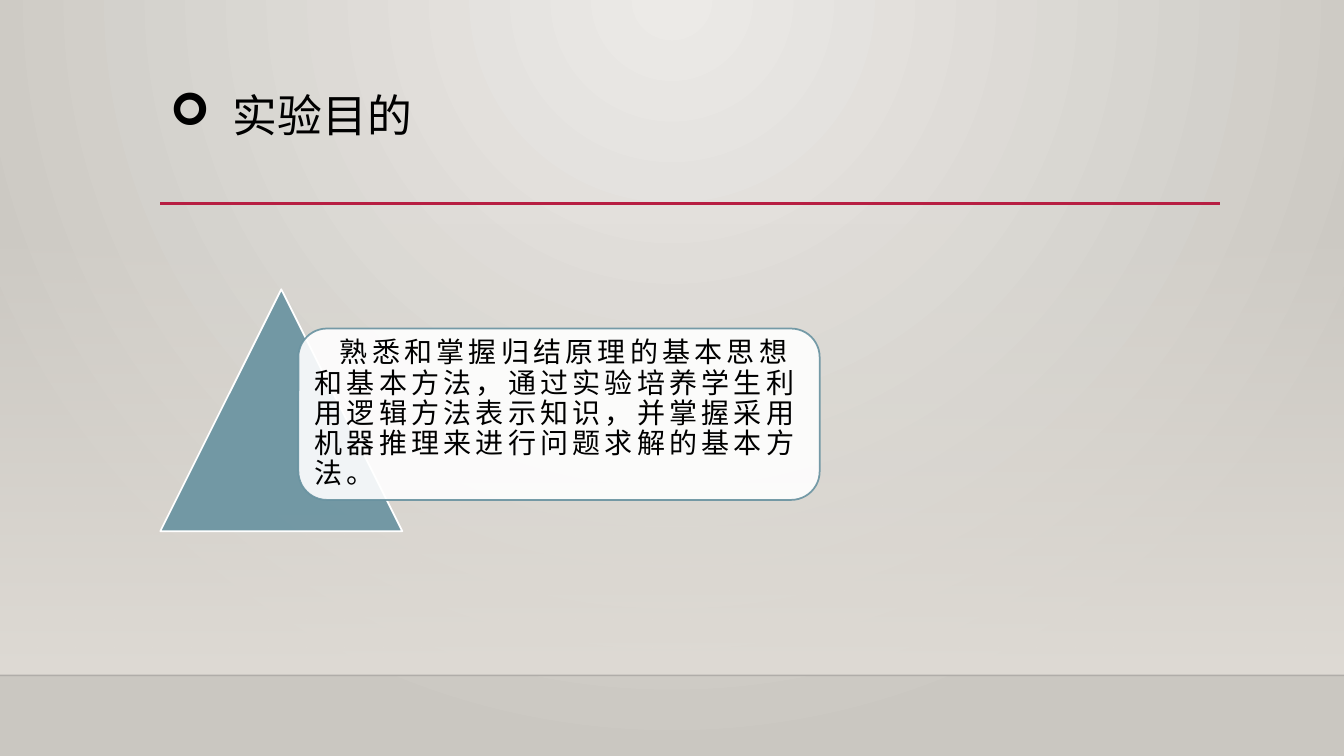
from pptx import Presentation
from pptx.dml.color import RGBColor
from pptx.enum.shapes import MSO_CONNECTOR, MSO_SHAPE
from pptx.enum.text import MSO_ANCHOR, PP_ALIGN
from pptx.oxml import parse_xml
from pptx.oxml.ns import nsdecls, qn
from pptx.util import Inches, Pt
from lxml.etree import SubElement

BLACK, WHITE, TEAL, RED = "000000", "FFFFFF", "6892A0", "B71E42"
PURPOSE = ("熟悉和掌握归结原理的基本思想和基本方法，通过实验培养学生利用逻辑方法表示知识，"
           "并掌握采用机器推理来进行问题求解的基本方法。")


def paint(fill, color):
    """Set a solid fill from a hex string."""
    fill.solid()
    fill.fore_color.rgb = RGBColor.from_string(color)


def set_alpha(solid, percent):
    """Set the opacity of a solidFill element."""
    SubElement(solid[0], qn("a:alpha")).set("val", str(percent * 1000))


def set_gradient(solid, stops, direction):
    """Replace a solidFill element with a gradient of (position, colour, opacity) stops."""
    gs = "".join(
        f'<a:gs pos="{pos * 1000}"><a:srgbClr val="{color}">'
        f'<a:alpha val="{alpha * 1000}"/></a:srgbClr></a:gs>'
        for pos, color, alpha in stops)
    grad = parse_xml(f'<a:gradFill {nsdecls("a")} rotWithShape="1">'
                     f'<a:gsLst>{gs}</a:gsLst>{direction}</a:gradFill>')
    solid.getparent().replace(solid, grad)


def add_background(s):
    """Fill the slide with a radial gradient centred on its top edge."""
    paint(s.background.fill, WHITE)
    set_gradient(s.element.find(".//" + qn("a:solidFill")),
                 [(0, "ECEAE7", 100), (100, "CAC7C1", 100)],
                 '<a:path path="circle"><a:fillToRect l="43000" t="0" '
                 'r="43000" b="100000"/></a:path>')


def add_shape(s, kind, box, fill, line=None, fill_alpha=100, line_alpha=100):
    """Add a preset shape with its fill and optional outline."""
    sp = s.shapes.add_shape(kind, *map(Inches, box))
    sp.shadow.inherit = False
    paint(sp.fill, fill)
    set_alpha(sp.element.spPr.find(qn("a:solidFill")), fill_alpha)
    if line:
        paint(sp.line.fill, line)
        sp.line.width = Pt(1.25)
        set_alpha(sp.element.spPr.find(qn("a:ln")).find(qn("a:solidFill")), line_alpha)
    else:
        sp.line.fill.background()
    return sp


def add_rule(s, left, right, y, color, width, alpha=100):
    """Add a horizontal line."""
    cx = s.shapes.add_connector(MSO_CONNECTOR.STRAIGHT, Inches(left), Inches(y),
                                Inches(right), Inches(y))
    paint(cx.line.fill, color)
    cx.line.width = Pt(width)
    spPr = cx.element.spPr
    set_alpha(spPr.find(".//" + qn("a:solidFill")), alpha)
    SubElement(spPr, qn("a:effectLst"))


def add_text(s, box, text, size, anchor=MSO_ANCHOR.TOP, inset=None,
             margin=0, indent=0, bullet=None, spacing=None):
    """Add a one-paragraph text box."""
    tf = s.shapes.add_textbox(*map(Inches, box)).text_frame
    tf.word_wrap = True
    tf.vertical_anchor = anchor
    if inset is not None:
        tf.margin_left = tf.margin_right = Inches(inset)
        tf.margin_top = tf.margin_bottom = Inches(inset)
    p = tf.paragraphs[0]
    p.alignment = PP_ALIGN.LEFT
    p.line_spacing = 0.9
    pPr = p._p.get_or_add_pPr()
    pPr.set("marL", str(Inches(margin)))
    pPr.set("indent", str(Inches(indent)))
    if bullet:
        SubElement(pPr, qn("a:buFont")).set("typeface", "Wingdings")
        SubElement(pPr, qn("a:buChar")).set("char", bullet)
    r = p.add_run()
    r.text = text
    r.font.name = "Calibri"
    r.font.size = Pt(size)
    r.font.color.rgb = RGBColor.from_string(BLACK)
    if spacing:
        r._r.get_or_add_rPr().set("spc", str(spacing * 100))


def main():
    """Build the slide and save it."""
    prs = Presentation()
    prs.slide_width, prs.slide_height = Inches(13.33), Inches(7.5)
    s = prs.slides.add_slide(prs.slide_layouts[6])

    add_background(s)
    wall = add_shape(s, MSO_SHAPE.RECTANGLE, (0, 2.21, 13.33, 4.49), WHITE)
    set_gradient(wall.element.spPr.find(qn("a:solidFill")),
                 [(0, "DFDBD5", 0), (100, "DFDBD5", 100)],
                 '<a:lin ang="5400000" scaled="0"/>')
    add_rule(s, 0, 13.33, 6.7, "000001", 1, alpha=20)
    add_rule(s, 1.59, 12.1, 2.02, RED, 2.5)

    add_text(s, (1.59, 0.88, 10.5, 1.15), "实验目的", 32,
             margin=0.62, indent=-0.62, bullet="➢")
    add_shape(s, MSO_SHAPE.ISOSCELES_TRIANGLE, (1.59, 2.87, 2.4, 2.4), TEAL, WHITE,
              fill_alpha=90)
    add_shape(s, MSO_SHAPE.ROUNDED_RECTANGLE, (2.96, 3.26, 5.17, 1.7), WHITE, TEAL,
              fill_alpha=90, line_alpha=90)
    add_text(s, (3.04, 3.34, 5.01, 1.54), PURPOSE, 20, anchor=MSO_ANCHOR.MIDDLE,
             inset=0.08, indent=0.25, spacing=3)

    prs.save("out.pptx")


if __name__ == "__main__":
    main()
